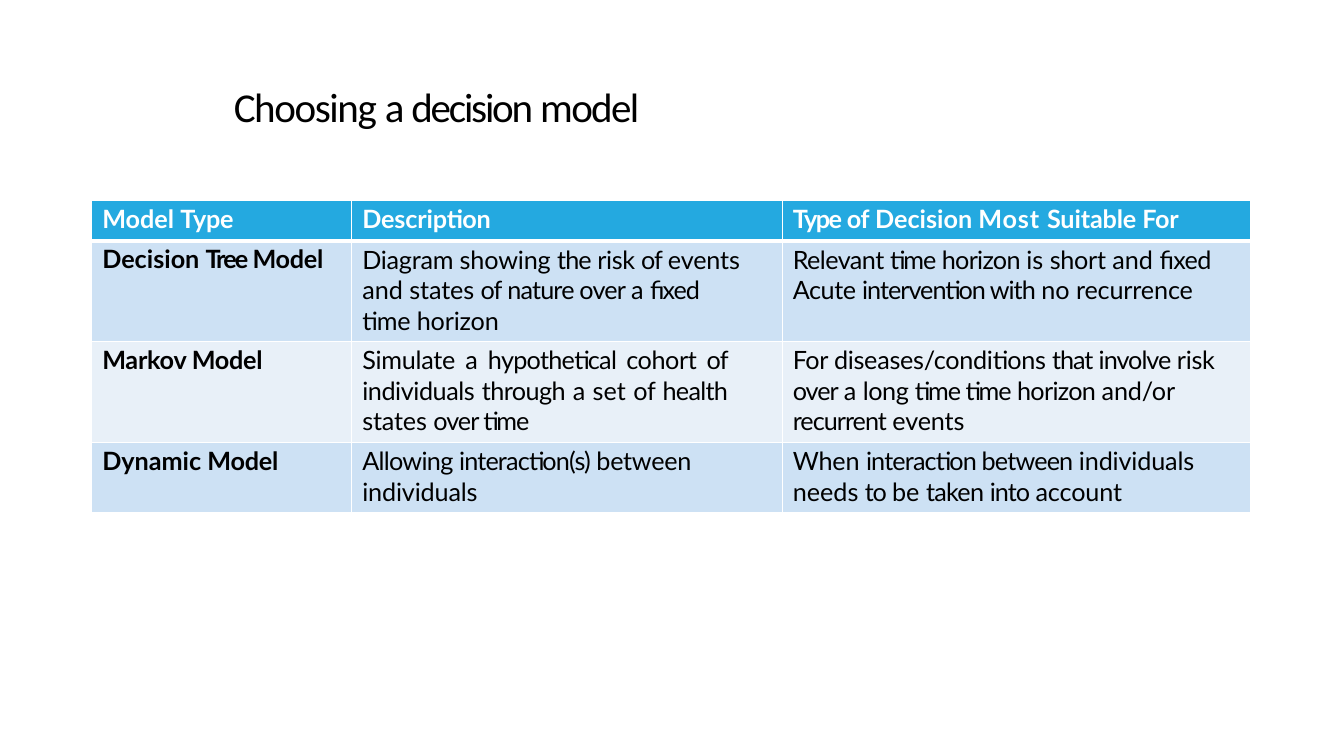
import pptx
import pptx.util
import pptx.dml.color
import pptx.enum.text
import pptx.oxml
import pptx.oxml.ns
import pptx.table
import pptx.text.text
from dataclasses import dataclass
from typing import NamedTuple

RGB = pptx.dml.color.RGBColor
Align = pptx.enum.text.PP_ALIGN
WHITE = RGB(0xFF, 0xFF, 0xFF)
BLACK = RGB(0, 0, 0)
BLUE = RGB(0x24, 0xA9, 0xE0)
SKY = RGB(0xCD, 0xE1, 0xF4)
PALE = RGB(0xE8, 0xF0, 0xF8)

WIDE, HIGH = pptx.util.Inches(13.33), pptx.util.Inches(7.5)


class Run(NamedTuple):
    text: str
    track: float = 0  # letter spacing in points


@dataclass
class Cell:
    runs: list[Run]
    right: float = 0  # right inset, percent of slide width
    align: int = Align.LEFT


@dataclass
class Row:
    high: float  # percent of slide height
    fill: RGB
    cells: list[Cell]


COLS = [19.35, 32.03, 34.88]  # percent of slide width
TITLE = [Run("Choosing ", -1), Run("a ", -1.7), Run("decision ", -1.6), Run("model", -1.2)]
ROWS = [
    Row(5.33, BLUE, [
        Cell([Run("Model "), Run("Type", -0.2)]),
        Cell([Run("Description", -0.1)]),
        Cell([Run("Type ", -1.1), Run("of ", -0.2), Run("Decision "), Run("Most ", 0.6),
              Run("Suitable ", -0.1), Run("For", -0.2)]),
    ]),
    Row(13.33, SKY, [
        Cell([Run("Decision "), Run("Tree ", -1.4), Run("Model", -0.2)]),
        Cell([Run("Diagram ", -0.2), Run("showing ", -0.1), Run("the ", -0.6),
              Run("risk ", -0.3), Run("of ", -0.7), Run("events ", -0.1), Run("and "),
              Run("states ", -0.1), Run("of ", -0.7), Run("nature over ", -0.6), Run("a "),
              Run("fixed ", -0.8), Run("time ", -0.2), Run("horizon", -0.1)], right=2.6),
        Cell([Run("Relevant ", -0.4), Run("time ", -0.7), Run("horizon ", -0.5), Run("is "),
              Run("short ", -0.2), Run("and "), Run("fixed ", -0.4), Run("Acute ", -0.3),
              Run("intervention with ", -0.7), Run("no "), Run("recurrence", -0.1)]),
    ]),
    Row(13.33, PALE, [
        Cell([Run("Markov Model", -0.2)]),
        Cell([Run("Simulate ", -0.2), Run("a "), Run("hypothetical ", -0.5),
              Run("cohort ", -0.3), Run("of ", -0.6), Run("individuals ", -0.3),
              Run("through ", -0.4), Run("a set "), Run("of ", -0.2), Run("health ", -0.5),
              Run("states ", -0.1), Run("over time", -0.7)], right=4.1, align=Align.JUSTIFY),
        Cell([Run("For ", -0.3), Run("diseases/conditions ", -0.2), Run("that ", -0.8),
              Run("involve ", -0.7), Run("risk ", -0.2), Run("over ", -0.7), Run("a "),
              Run("long ", -0.3), Run("time time ", -0.7), Run("horizon ", -0.5),
              Run("and/or ", -0.1), Run("recurrent ", -0.7), Run("events", -0.1)]),
    ]),
    Row(9.33, SKY, [
        Cell([Run("Dynamic "), Run("Model", -0.2)]),
        Cell([Run("Allowing ", -0.5), Run("interaction(s) ", -0.6), Run("between ", -0.2),
              Run("individuals", -0.1)]),
        Cell([Run("When ", -0.1), Run("interaction between ", -0.6), Run("individuals ", -0.1),
              Run("needs "), Run("to ", -0.9), Run("be "), Run("taken ", -0.5),
              Run("into ", -0.7), Run("account", -0.1)]),
    ]),
]


def across(share: float) -> int:
    return round(WIDE * share / 100)


def down(share: float) -> int:
    return round(HIGH * share / 100)


def add_runs(para: pptx.text.text._Paragraph, runs: list[Run], face: str, size: float,
             ink: RGB, bold: bool) -> None:
    for text, track in runs:
        run = para.add_run()
        run.text = text
        font = run.font
        font.name, font.size, font.bold = face, pptx.util.Pt(size), bold
        font.color.rgb = ink
        run._r.get_or_add_rPr().set("spc", str(round(track * 100)))


def add_edge(cell: pptx.table._Cell, side: str, points: float) -> None:
    space = pptx.oxml.ns.nsdecls("a")
    cell._tc.get_or_add_tcPr().append(pptx.oxml.parse_xml(
        f'<a:ln{side} {space} w="{pptx.util.Pt(points)}"><a:solidFill>'
        f'<a:srgbClr val="{WHITE}"/></a:solidFill></a:ln{side}>'))


def fill_cell(cell: pptx.table._Cell, data: Cell, fill: RGB, row: int, col: int) -> None:
    # Thick rule under the header, thin ones elsewhere
    edges = {"L": 1, "R": 1, "T": 3 if row == 1 else 1, "B": 3 if row == 0 else 1}
    for side, points in edges.items():
        add_edge(cell, side, points)
    cell.fill.solid()
    cell.fill.fore_color.rgb = fill
    cell.margin_left, cell.margin_right = across(0.78), across(data.right)
    cell.margin_top, cell.margin_bottom = down(0.4), 0
    para = cell.text_frame.paragraphs[0]
    para.alignment = data.align
    if row and col:
        para.line_spacing = 1.01
    add_runs(para, data.runs, "Lato", 18, BLACK if row else WHITE, row == 0 or col == 0)


def main() -> None:
    deck = pptx.Presentation()
    deck.slide_width, deck.slide_height = WIDE, HIGH
    slide = deck.slides.add_slide(deck.slide_layouts[5])

    # Title
    title = slide.shapes.title
    title.left, title.top = across(7.5), down(10.53)
    title.width, title.height = across(49.96), down(6.8)
    frame = title.text_frame
    frame.word_wrap = True
    frame.auto_size = pptx.enum.text.MSO_AUTO_SIZE.SHAPE_TO_FIT_TEXT
    frame.vertical_anchor = pptx.enum.text.MSO_ANCHOR.MIDDLE
    frame.margin_left = frame.margin_right = frame.margin_bottom = 0
    frame.margin_top = down(0.27)
    frame.paragraphs[0].alignment = Align.CENTER
    add_runs(frame.paragraphs[0], TITLE, "Calibri", 29.3, BLACK, False)

    # Table of models
    grid = slide.shapes.add_table(
        len(ROWS), len(COLS), across(6.83), down(26.53), across(sum(COLS)),
        down(sum(row.high for row in ROWS))).table
    for col, share in enumerate(COLS):
        grid.columns[col].width = across(share)
    for r, row in enumerate(ROWS):
        grid.rows[r].height = down(row.high)
        for c, data in enumerate(row.cells):
            fill_cell(grid.cell(r, c), data, row.fill, r, c)

    deck.save("out.pptx")


if __name__ == "__main__":
    main()
